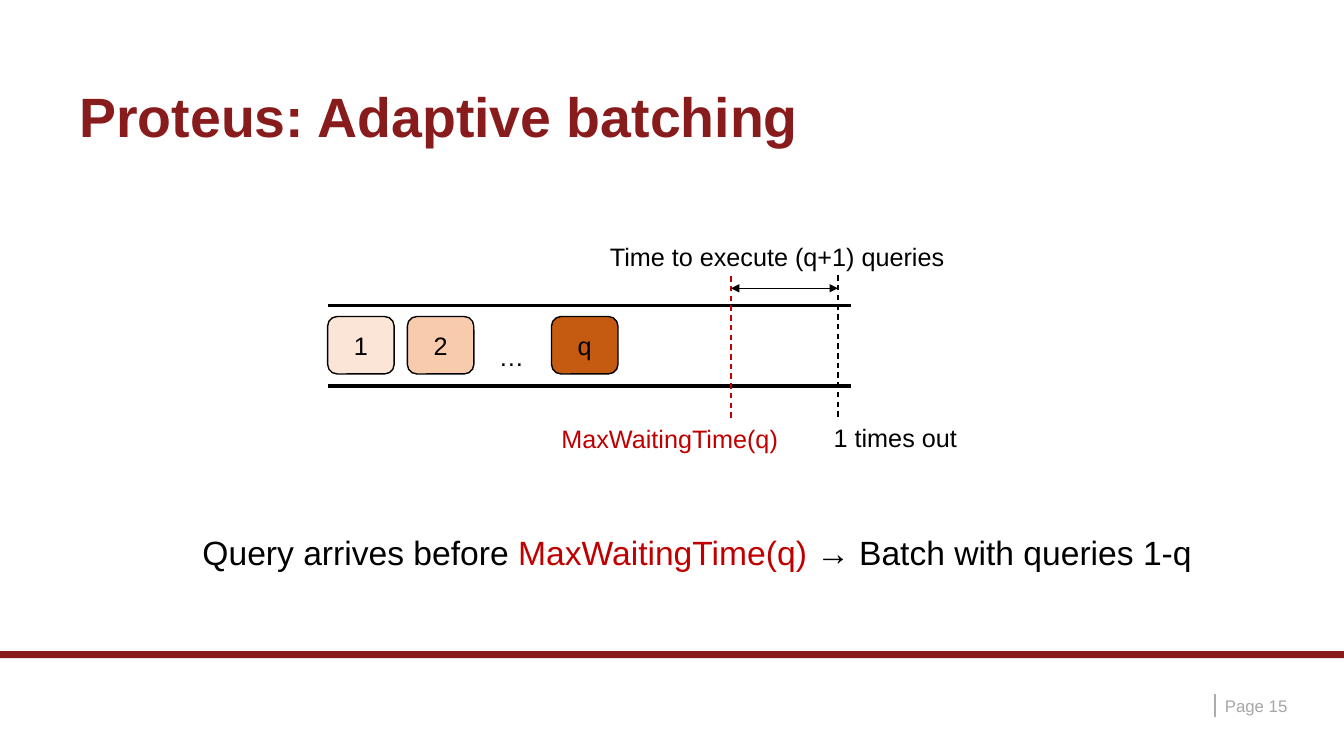
from pptx import Presentation
from pptx.dml.color import RGBColor
from pptx.enum.dml import MSO_LINE
from pptx.enum.shapes import MSO_CONNECTOR, MSO_SHAPE
from pptx.enum.text import MSO_ANCHOR as Anchor, PP_ALIGN as Align
from pptx.oxml.ns import qn
from pptx.util import Inches, Pt
from lxml.etree import SubElement

WIDTH, HEIGHT = 13.33, 7.5
MAROON, RED, BLACK = "881C1C", "C00000", "000000"


def color(value):
    return RGBColor.from_string(value)


def write(shape, spans, size=18, align=Align.LEFT, anchor=Anchor.TOP,
          wrap=True, bold=False, spacing=1.0):
    """Fill one paragraph with (text, colour) spans."""
    frame = shape.text_frame
    for name, value in {"word_wrap": wrap, "vertical_anchor": anchor}.items():
        setattr(frame, name, value)
    para = frame.paragraphs[0]
    para.alignment, para.line_spacing = align, spacing
    for text, ink in spans:
        span = para.add_run()
        span.text = text
        for name, value in {"name": "Arial", "size": Pt(size), "bold": bold}.items():
            setattr(span.font, name, value)
        span.font.color.rgb = color(ink)


def add_text(page, box, spans, **style):
    write(page.shapes.add_textbox(*map(Inches, box)), spans, **style)


def add_line(page, start, end, ink=BLACK, width=1.0, dashed=False, arrows=False):
    line = page.shapes.add_connector(
        MSO_CONNECTOR.STRAIGHT, *map(Inches, (*start, *end)))
    line.line.color.rgb = color(ink)
    line.line.width = Pt(width)
    if dashed:
        line.line.dash_style = MSO_LINE.DASH
    if arrows:
        for tag in ("a:headEnd", "a:tailEnd"):
            SubElement(line.line._get_or_add_ln(), qn(tag), type="triangle")
    SubElement(line._element.spPr, qn("a:effectLst"))


def add_block(page, kind, box, fill, outline=None):
    block = page.shapes.add_shape(kind, *map(Inches, box))
    block.shadow.inherit = False
    block.fill.solid()
    block.fill.fore_color.rgb = color(fill)
    if outline:
        block.line.color.rgb = color(outline)
        block.line.width = Pt(1)
    else:
        block.line.fill.background()
    return block


def add_title(page, box):
    add_text(page, box, [("Proteus: Adaptive batching", MAROON)], size=39.6,
             anchor=Anchor.MIDDLE, bold=True, spacing=0.9)


def add_footer(page, box):
    left, top, width, height = box
    add_block(page, MSO_SHAPE.RECTANGLE, (left, top, width, 0.07), MAROON)
    # Page number beside its divider
    number_left, number_top, number_height = left + width - 1.28, top + 0.43, 0.22
    add_line(page, (number_left, number_top),
             (number_left, number_top + number_height), "AFABAB", 1.25)
    add_text(page, (number_left, number_top, 1.05, number_height),
             [("Page 15", "A6A6A6")], size=12, anchor=Anchor.MIDDLE)


def add_queue(page, box):
    left, top, width, height = box
    # Rails
    for y in (top, top + height):
        add_line(page, (left, y), (left + width, y), width=2.25)
    # Waiting queries
    for label, offset, fill in (("1", 0, "FBE5D6"), ("2", 0.79, "F8CBAD"),
                                ("q", 2.22, "C55A11")):
        query = add_block(page, MSO_SHAPE.ROUNDED_RECTANGLE,
                          (left + offset, top + 0.11, 0.66, 0.57), fill, BLACK)
        write(query, [(label, BLACK)], align=Align.CENTER, anchor=Anchor.MIDDLE)
    add_text(page, (left + 1.6, top + 0.31, 0.45, 0.4), [("…", BLACK)], wrap=False)
    # Deadlines
    wait_x, timeout_x = left + 4, left + 5.06
    for x, y, ink, label, label_x, label_width in (
            (timeout_x, top - 0.3, BLACK, "1 times out", left + 4.92, 1.44),
            (wait_x, top - 0.29, RED, "MaxWaitingTime(q)", left + 2.22, 2.44)):
        add_line(page, (x, y), (x, y + 1.41), ink, dashed=True)
        add_text(page, (label_x, y + 1.41, label_width, 0.4), [(label, ink)], wrap=False)
    # Execution time
    add_line(page, (timeout_x, top - 0.17), (wait_x, top - 0.17), arrows=True)
    add_text(page, (left + 2.7, top - 0.69, 3.68, 0.4),
             [("Time to execute (q+1) queries", BLACK)], wrap=False)


def add_rule(page, box):
    add_text(page, box, [("Query arrives before ", BLACK), ("MaxWaitingTime(q) ", RED),
                         ("→ Batch with queries 1-q", BLACK)], size=24)


def main():
    deck = Presentation()
    deck.slide_width, deck.slide_height = Inches(WIDTH), Inches(HEIGHT)
    page = deck.slides.add_slide(deck.slide_layouts[6])
    add_footer(page, (0, 6.46, WIDTH, HEIGHT - 6.46))
    add_title(page, (0.69, 0.81, 11.97, 0.75))
    add_queue(page, (3.25, 3.03, 5.19, 0.8))
    add_rule(page, (1.91, 5.23, 10.1, 0.5))
    deck.save("out.pptx")


if __name__ == "__main__":
    main()
